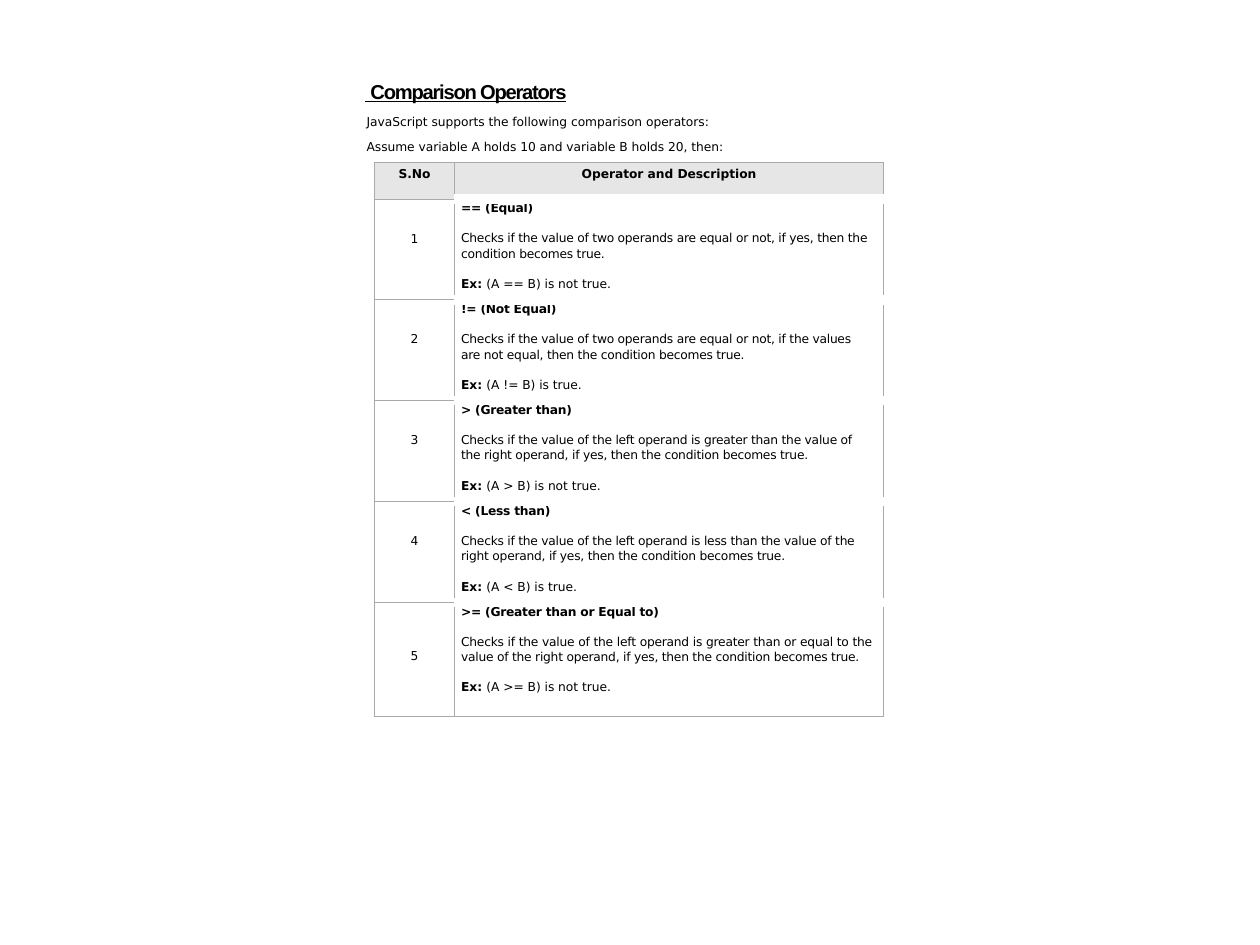
from lxml import etree
from pptx import Presentation
from pptx.dml.color import RGBColor
from pptx.enum.text import MSO_ANCHOR, PP_ALIGN
from pptx.oxml.ns import qn
from pptx.util import Inches, Pt

LEFT, CENTER, JUSTIFY = PP_ALIGN.LEFT, PP_ALIGN.CENTER, PP_ALIGN.JUSTIFY
TOP = MSO_ANCHOR.TOP
BLACK = RGBColor(0, 0, 0)
WHITE = RGBColor(255, 255, 255)
GRID = RGBColor(0xAA, 0xAA, 0xAA)
HEADER_FILL = RGBColor(0xE7, 0xE6, 0xE6)
THIN = (GRID, 0.75)
GAP = (WHITE, 6)

HEADERS = ["S.No", "Operator and Description"]
INTRO = [
    "JavaScript supports the following comparison operators:",
    "Assume variable A holds 10 and variable B holds 20, then:",
]
OPERATORS = [
    ("==", "Equal",
     "two operands are equal or not, if yes, then the condition becomes true.",
     "not true."),
    ("!=", "Not Equal",
     "two operands are equal or not, if the values are not equal, "
     "then the condition becomes true.",
     "true."),
    (">", "Greater than",
     "the left operand is greater than the value of the right operand, "
     "if yes, then the condition becomes true.",
     "not true."),
    ("<", "Less than",
     "the left operand is less than the value of the right operand, "
     "if yes, then the condition becomes true.",
     "true."),
    (">=", "Greater than or Equal to",
     "the left operand is greater than or equal to the value of the right "
     "operand, if yes, then the condition becomes true.",
     "not true."),
]


def add_run(paragraph, text, bold=False, size=7, font="DejaVu Sans", spacing=0):
    run = paragraph.add_run()
    run.text = text
    run.font.name = font
    run.font.size = Pt(size)
    run.font.bold = bold
    run.font.color.rgb = BLACK
    run._r.get_or_add_rPr().set("spc", str(round(spacing * 100)))
    return run


def set_frame(frame):
    frame.margin_left = frame.margin_right = 0
    frame.margin_top = frame.margin_bottom = 0
    frame.vertical_anchor = TOP
    frame.word_wrap = True


def add_title(slide):
    title = slide.shapes.title
    title.left, title.top = Inches(2.9), Inches(0.63)
    title.width, title.height = Inches(4.2), Inches(0.19)
    set_frame(title.text_frame)
    paragraph = title.text_frame.paragraphs[0]
    paragraph.alignment = LEFT
    paragraph.line_spacing = 1.0
    for text, font, bold, spacing in [
        (" ", "Times New Roman", False, -2),
        ("Comparison Operators", "Arial", True, -0.7),
    ]:
        run = add_run(paragraph, text, bold, 11.5, font, spacing)
        run.font.underline = True


def add_intro(slide):
    box = slide.shapes.add_textbox(Inches(2.91), Inches(0.82), Inches(4.19), Inches(0.4))
    set_frame(box.text_frame)
    for index, line in enumerate(INTRO):
        paragraph = box.text_frame.paragraphs[0] if index == 0 else box.text_frame.add_paragraph()
        paragraph.line_spacing = Pt(14.4)
        add_run(paragraph, line)


def set_borders(cell, top, bottom):
    properties = cell._tc.get_or_add_tcPr()
    for side, (color, width) in zip("LRTB", (THIN, THIN, top, bottom)):
        line = etree.SubElement(properties, qn(f"a:ln{side}"), w=str(Pt(width)), cap="flat")
        fill = etree.SubElement(line, qn("a:solidFill"))
        etree.SubElement(fill, qn("a:srgbClr"), val=str(color))


def style_cell(cell, margin_top, fill=None, top=THIN, bottom=THIN, left=0, right=0):
    cell.margin_left, cell.margin_right = Inches(left), Inches(right)
    cell.margin_top, cell.margin_bottom = Inches(margin_top), 0
    cell.vertical_anchor = TOP
    set_borders(cell, top, bottom)
    if fill is None:
        cell.fill.background()
    else:
        cell.fill.solid()
        cell.fill.fore_color.rgb = fill


def fill_centered(cell, text, bold=False):
    paragraph = cell.text_frame.paragraphs[0]
    paragraph.alignment = CENTER
    add_run(paragraph, text, bold)


def fill_description(cell, operator, name, condition, result, alignment):
    heading = cell.text_frame.paragraphs[0]
    check = cell.text_frame.add_paragraph()
    example = cell.text_frame.add_paragraph()
    for paragraph in (heading, check, example):
        paragraph.alignment = alignment
    check.space_before = Pt(8.3)
    check.line_spacing = 1.08
    example.space_before = Pt(9.2)
    add_run(heading, f"{operator} ({name})", True, spacing=-0.1)
    add_run(check, f"Checks if the value of {condition}", spacing=-0.1)
    add_run(example, "Ex: ", True)
    add_run(example, f"(A {operator} B) is {result}")


def add_operator_table(slide):
    heights = [0.29] + [0.8] * 4 + [0.91]
    table = slide.shapes.add_table(
        len(heights), 2, Inches(2.97), Inches(1.29), Inches(4.04), Inches(sum(heights))
    ).table
    table.horz_banding = False
    for column, width in zip(table.columns, (0.64, 3.4)):
        column.width = Inches(width)
    for row, height in zip(table.rows, heights):
        row.height = Inches(height)

    for column, (header, bottom) in enumerate(zip(HEADERS, (THIN, GAP))):
        cell = table.cell(0, column)
        style_cell(cell, 0.04, HEADER_FILL, bottom=bottom)
        fill_centered(cell, header, True)

    for number, operator_row in enumerate(OPERATORS, 1):
        last = number == len(OPERATORS)
        number_cell, description_cell = table.cell(number, 0), table.cell(number, 1)
        style_cell(number_cell, 0.37 if last else 0.26)
        fill_centered(number_cell, str(number))
        style_cell(description_cell, 0.02, top=GAP, bottom=THIN if last else GAP,
                   left=0.05, right=0.09)
        fill_description(description_cell, *operator_row, JUSTIFY if last else LEFT)


def main():
    presentation = Presentation()
    presentation.slide_width = Inches(10)
    presentation.slide_height = Inches(7.5)
    slide = presentation.slides.add_slide(presentation.slide_layouts[5])
    add_title(slide)
    add_intro(slide)
    add_operator_table(slide)
    presentation.save("out.pptx")


if __name__ == "__main__":
    main()
